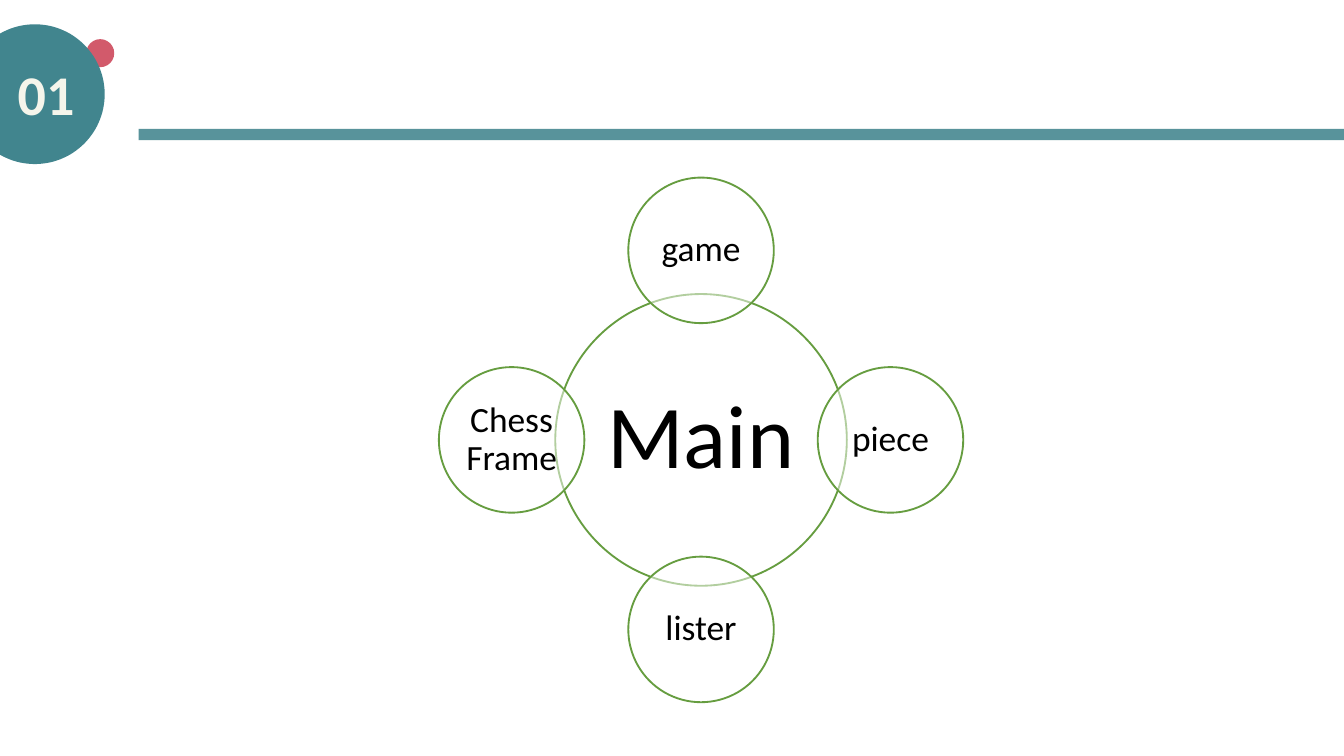
import math

import lxml.etree
import pptx
import pptx.dml.color
import pptx.enum.shapes
import pptx.enum.text
import pptx.oxml.ns
import pptx.util

Cm = pptx.util.Cm
Pt = pptx.util.Pt
RGBColor = pptx.dml.color.RGBColor
OVAL = pptx.enum.shapes.MSO_SHAPE.OVAL
ANCHOR = pptx.enum.text.MSO_ANCHOR
ALIGN = pptx.enum.text.PP_ALIGN
qn = pptx.oxml.ns.qn

TEAL = RGBColor(0x41, 0x85, 0x8E)
RED = RGBColor(0xCF, 0x4D, 0x5F)
GREEN = RGBColor(0x66, 0x9D, 0x40)
CREAM = RGBColor(0xF5, 0xF5, 0xEB)
WHITE = RGBColor(0xFF, 0xFF, 0xFF)
BLACK = RGBColor(0, 0, 0)


def set_opacity(format_owner, percent):
    """Make the solid fill inside a shape or line element see-through."""
    color = format_owner.find(".//" + qn("a:srgbClr"))
    lxml.etree.SubElement(color, qn("a:alpha"), val=str(percent * 1000))


def write_text(shape, text, frame_format, para_format, font_format, color):
    frame = shape.text_frame
    para = frame.paragraphs[0]
    span = para.add_run()
    span.text = text
    for target, values in ((frame, frame_format), (para, para_format),
                           (span.font, font_format)):
        for name, value in values.items():
            setattr(target, name, value)
    span.font.color.rgb = color


deck = pptx.Presentation()
deck.slide_width, deck.slide_height = Cm(25.4), Cm(14.28)
page = deck.slides.add_slide(deck.slide_layouts[5])

# Red dot behind the section badge
dot = page.shapes.add_shape(OVAL, Cm(1.63), Cm(0.74), Cm(0.53), Cm(0.53))
dot.shadow.inherit = False
dot.fill.solid()
dot.fill.fore_color.rgb = RED
dot.line.fill.background()
set_opacity(dot.fill._xPr, 92)

# Section badge: a circle cut off at the left edge of the page
badge_x, badge_y, badge_radius = 0.66, 1.78, 1.32
arc = []
for degrees in range(-120, 121, 3):
    angle = math.radians(degrees)
    arc.append((Cm(badge_x + badge_radius * math.cos(angle)),
                Cm(badge_y + badge_radius * math.sin(angle))))
builder = page.shapes.build_freeform(*arc[0])
builder.add_line_segments(arc[1:], close=True)
badge = builder.convert_to_shape()
badge.shadow.inherit = False
badge.fill.solid()
badge.fill.fore_color.rgb = TEAL
badge.line.fill.background()

# Header rule
rule = page.shapes.add_connector(
    pptx.enum.shapes.MSO_CONNECTOR.STRAIGHT, Cm(2.62), Cm(2.54), Cm(25.4), Cm(2.54))
rule.line.width = Pt(6)
rule.line.color.rgb = TEAL
set_opacity(rule.line._ln, 87)
lxml.etree.SubElement(rule._element.spPr, qn("a:effectLst"))

# Section number, brought in front of the badge
title = page.shapes.title
page.shapes._spTree.append(title._element)
for name, value in {"left": Cm(0.08), "top": Cm(0.99),
                    "width": Cm(1.9), "height": Cm(1.55)}.items():
    setattr(title, name, value)
write_text(title, "01",
           {"word_wrap": True, "vertical_anchor": ANCHOR.TOP,
            "auto_size": pptx.enum.text.MSO_AUTO_SIZE.NONE},
           {"alignment": ALIGN.LEFT},
           {"name": "Calibri", "size": Pt(30), "bold": True}, CREAM)

# Main circle with four satellites: text, steps right, steps down, diameter, size, inset
hub_x, hub_y, orbit = 13.25, 8.31, 3.58
circles = [
    ("Main", 0, 0, 5.51, 48, 0.18),
    ("game", 0, -1, 2.75, 19, 0.08),
    ("piece", 1, 0, 2.75, 19, 0.08),
    ("lister", 0, 1, 2.75, 19, 0.08),
    ("Chess Frame", -1, 0, 2.75, 19, 0.08),
]
for text, right, down, diameter, size, inset in circles:
    circle = page.shapes.add_shape(
        OVAL, Cm(hub_x + right * orbit - diameter / 2),
        Cm(hub_y + down * orbit - diameter / 2), Cm(diameter), Cm(diameter))
    circle.shadow.inherit = False
    circle.fill.solid()
    circle.fill.fore_color.rgb = WHITE
    set_opacity(circle.fill._xPr, 50)
    circle.line.color.rgb = GREEN
    circle.line.width = Pt(1)
    margins = {"margin_" + side: Cm(inset) for side in ("left", "top", "right", "bottom")}
    write_text(circle, text,
               {"word_wrap": True, "vertical_anchor": ANCHOR.MIDDLE, **margins},
               {"alignment": ALIGN.CENTER, "line_spacing": 0.9},
               {"name": "Calibri", "size": Pt(size)}, BLACK)

deck.save("out.pptx")
